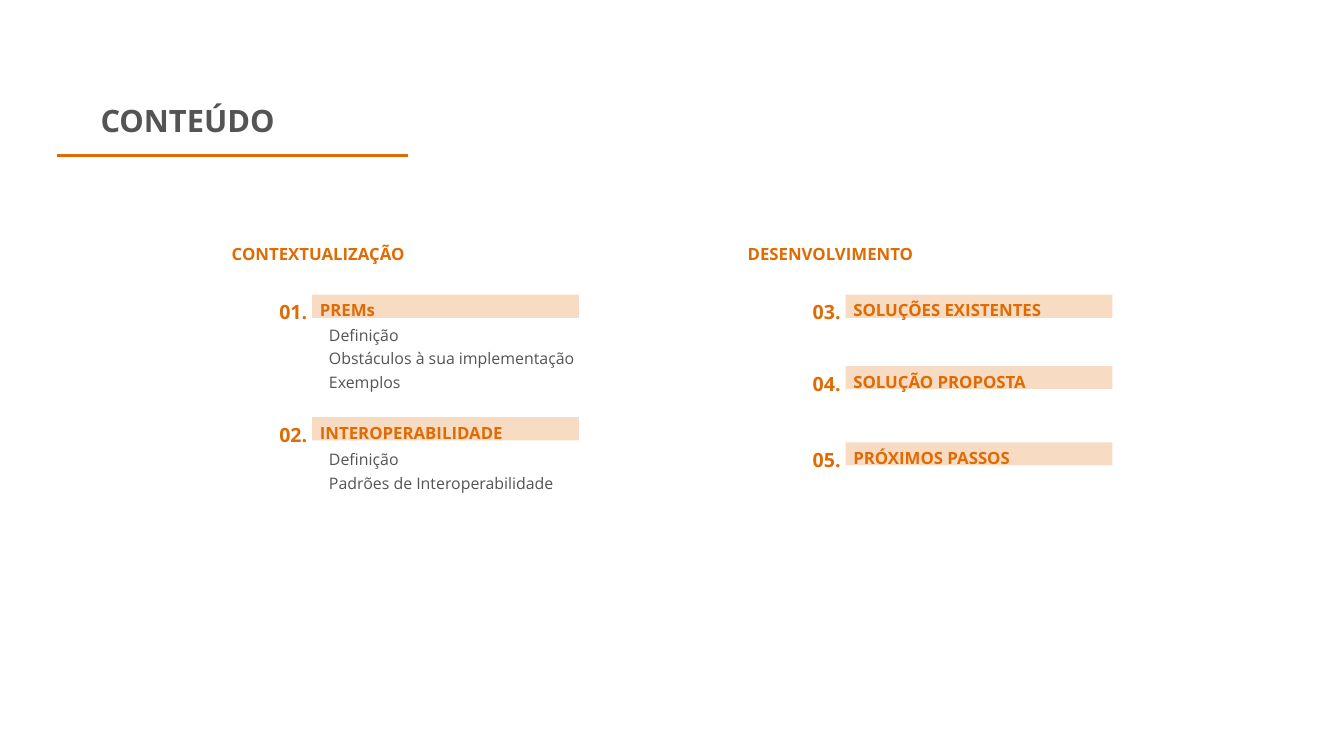
from lxml.etree import SubElement
from pptx import Presentation
from pptx.dml.color import RGBColor
from pptx.enum.shapes import MSO_CONNECTOR, MSO_SHAPE
from pptx.enum.text import PP_ALIGN
from pptx.oxml.ns import qn
from pptx.util import Pt

SCALE = 9525  # EMU in one px, 96 px to the inch
ORANGE, GREY = "E16B03", "545454"
FONT = "Open Sans"


def px(*nums):
    return [n * SCALE for n in nums]


def paint(target, color):
    target.rgb = RGBColor.from_string(color)


def write(slide, box, lines, size, lead, color=ORANGE, bold=True, align=PP_ALIGN.LEFT):
    frame = slide.shapes.add_textbox(*px(*box)).text_frame
    frame.word_wrap = True
    frame.margin_left = frame.margin_right = 0
    frame.margin_top = frame.margin_bottom = 0
    frame.text = "\n".join(lines)
    for para in frame.paragraphs:
        para.alignment = align
        para.line_spacing = Pt(lead)
        for run in para.runs:
            run.font.name = FONT
            run.font.size = Pt(size)
            run.font.bold = bold
            paint(run.font.color, color)


def add_bar(slide, box):
    bar = slide.shapes.add_shape(MSO_SHAPE.RECTANGLE, *px(*box))
    bar.shadow.inherit = False
    bar.line.fill.background()
    bar.fill.solid()
    paint(bar.fill.fore_color, ORANGE)
    tint = bar.fill._xPr.find(qn("a:solidFill"))[0]
    SubElement(tint, qn("a:alpha"), val="24000")


def add_title(slide, left, top, text):
    write(slide, (left + 62, top, 250, 60), [text], 33, 46.2, GREY, align=PP_ALIGN.CENTER)
    rule = slide.shapes.add_connector(
        MSO_CONNECTOR.STRAIGHT, *px(left, top + 86, left + 502, top + 86))
    rule.line.width = Pt(3)
    paint(rule.line.color, ORANGE)
    SubElement(rule._element.spPr, qn("a:effectLst"))


def add_item(slide, left, top, num, label, gap=0, notes=()):
    # Number, tinted bar and label
    add_bar(slide, (left + 47, top + 8, 381, 33))
    write(slide, (left, top, 47, 44), [f"{num:02}."], 21, 36.9)
    write(slide, (left + 58, top + 2, 280, 37), [label], 18, 31.6)
    # Topics under the bar
    if notes:
        write(slide, (left + 71, top + gap, 390, 34 * len(notes)),
              notes, 17, 25.4, GREY, bold=False)


def add_part(slide, left, top, head, inset, items):
    write(slide, (left, top, 280, 37), [head], 18, 31.6)
    for drop, *item in items:
        add_item(slide, left + inset, top + drop, *item)


def main():
    deck = Presentation()
    deck.slide_width, deck.slide_height = px(1920, 1080)
    slide = deck.slides.add_slide(deck.slide_layouts[6])

    add_title(slide, 81, 136, "CONTEÚDO")

    # Each item: drop below the heading, number, label, gap to topics, topics
    add_part(slide, 331, 335, "CONTEXTUALIZAÇÃO", 68, [
        (78, 1, "PREMs", 45,
         ["Definição", "Obstáculos à sua implementação", "Exemplos"]),
        (253, 2, "INTEROPERABILIDADE", 48,
         ["Definição", "Padrões de Interoperabilidade"]),
    ])
    add_part(slide, 1068, 335, "DESENVOLVIMENTO", 93, [
        (78, 3, "SOLUÇÕES EXISTENTES"),
        (180, 4, "SOLUÇÃO PROPOSTA"),
        (289, 5, "PRÓXIMOS PASSOS"),
    ])

    deck.save("out.pptx")


if __name__ == "__main__":
    main()
